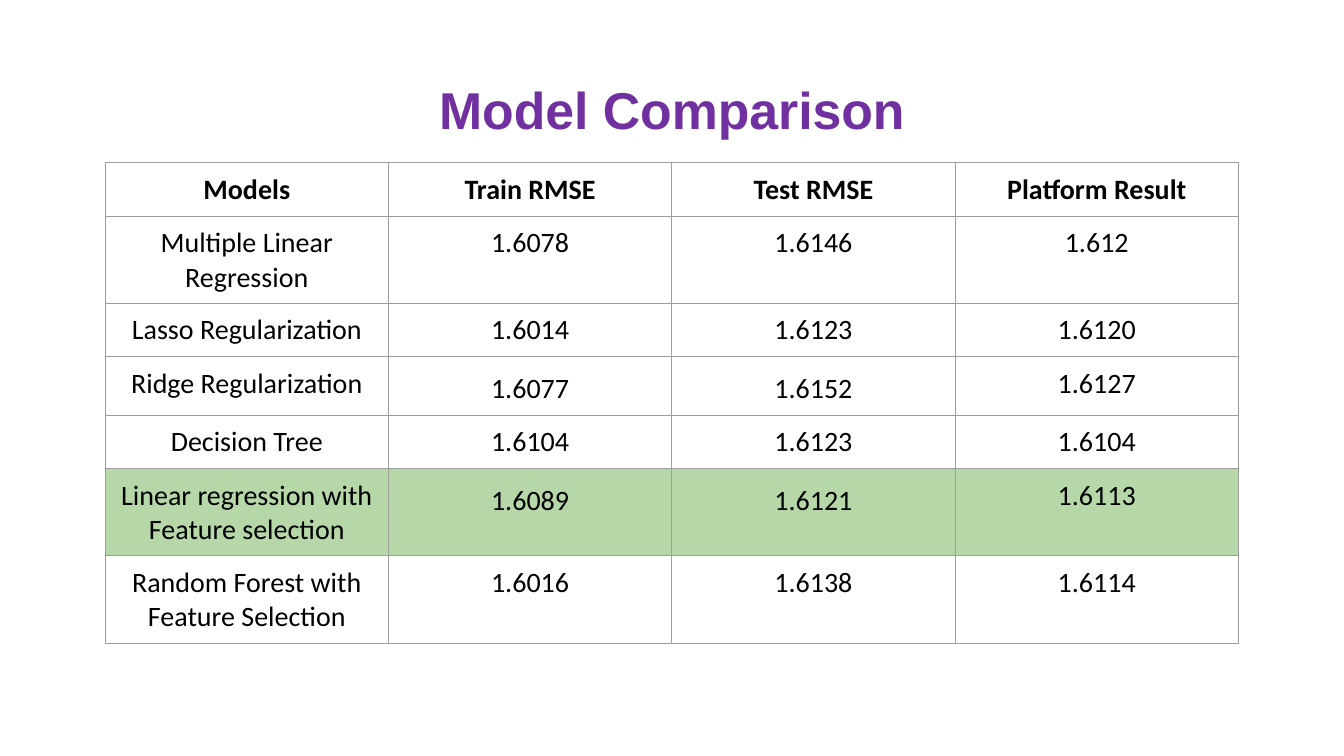
from lxml import etree
from pptx import Presentation
from pptx import util as u
from pptx.dml.color import RGBColor
from pptx.enum import text
from pptx.oxml.ns import qn

HEADERS = ["Models", "Train RMSE", "Test RMSE", "Platform Result"]
RESULTS = [
    ["Multiple Linear Regression", "1.6078", "1.6146", "1.612"],
    ["Lasso Regularization", "1.6014", "1.6123", "1.6120"],
    ["Ridge Regularization", "1.6077", "1.6152", "1.6127"],
    ["Decision Tree", "1.6104", "1.6123", "1.6104"],
    ["Linear regression with Feature selection", "1.6089", "1.6121", "1.6113"],
    ["Random Forest with Feature Selection", "1.6016", "1.6138", "1.6114"],
]
HIGHLIGHTED_ROW = 5
LOOSE_ROWS = (3, 5)
LOOSE_COLUMNS = (1, 2)


def color(value):
    """Turn a hex string into a colour."""
    return RGBColor.from_string(value)


def style_para(para, font_name, size, hex_color, bold):
    """Centre a paragraph and set its font."""
    para.alignment = text.PP_ALIGN.CENTER
    para.font.name = font_name
    para.font.size = u.Pt(size)
    para.font.bold = bold
    para.font.color.rgb = color(hex_color)


def add_title(page, left, top, width, height):
    """Place the slide title in the middle of the given box."""
    box = page.shapes.add_textbox(left, top, width, height)
    frame = box.text_frame
    frame.word_wrap = True
    frame.vertical_anchor = text.MSO_ANCHOR.MIDDLE
    para = frame.paragraphs[0]
    para.text = "Model Comparison"
    para.line_spacing = 0.9
    style_para(para, "Arial", 37, "7030A0", True)


def add_borders(cell, hex_color, points):
    """Draw a solid line on all four sides of a cell."""
    properties = cell._tc.get_or_add_tcPr()
    for side in ("a:lnL", "a:lnR", "a:lnT", "a:lnB"):
        line = etree.SubElement(properties, qn(side), w=str(u.Pt(points)))
        fill = etree.SubElement(line, qn("a:solidFill"))
        etree.SubElement(fill, qn("a:srgbClr"), val=hex_color)


def fill_cell(cell, wording, row, column):
    """Write and format one table cell."""
    cell.margin_left = cell.margin_right = u.Cm(0.25)
    cell.margin_top = cell.margin_bottom = u.Cm(0.25)
    add_borders(cell, "9E9E9E", 0.75)
    if row == HIGHLIGHTED_ROW:
        cell.fill.solid()
        cell.fill.fore_color.rgb = color("B6D7A8")
    else:
        cell.fill.background()
    para = cell.text_frame.paragraphs[0]
    para.text = wording
    if row in LOOSE_ROWS and column in LOOSE_COLUMNS:
        para.line_spacing = 1.15
    style_para(para, "Calibri", 20, "000000", row == 0)


def add_results(page, left, top, width, row_height):
    """Place the comparison table, with equal columns across the width."""
    rows = [HEADERS] + RESULTS
    frame = page.shapes.add_table(
        len(rows), len(HEADERS), left, top, width, row_height * len(rows))
    table = frame.table
    table.first_row = False
    table.horz_banding = False
    for row, wordings in enumerate(rows):
        for column, wording in enumerate(wordings):
            fill_cell(table.cell(row, column), wording, row, column)


def main():
    """Build the deck and save it."""
    deck = Presentation()
    deck.slide_width, deck.slide_height = u.Cm(33.87), u.Cm(19.05)
    page = deck.slides.add_slide(deck.slide_layouts[6])
    add_title(page, u.Cm(2.33), u.Cm(1.01), u.Cm(29.21), u.Cm(3.68))
    add_results(page, u.Cm(2.65), u.Cm(4.1), u.Cm(28.56), u.Cm(1.07))
    deck.save("out.pptx")


if __name__ == "__main__":
    main()
